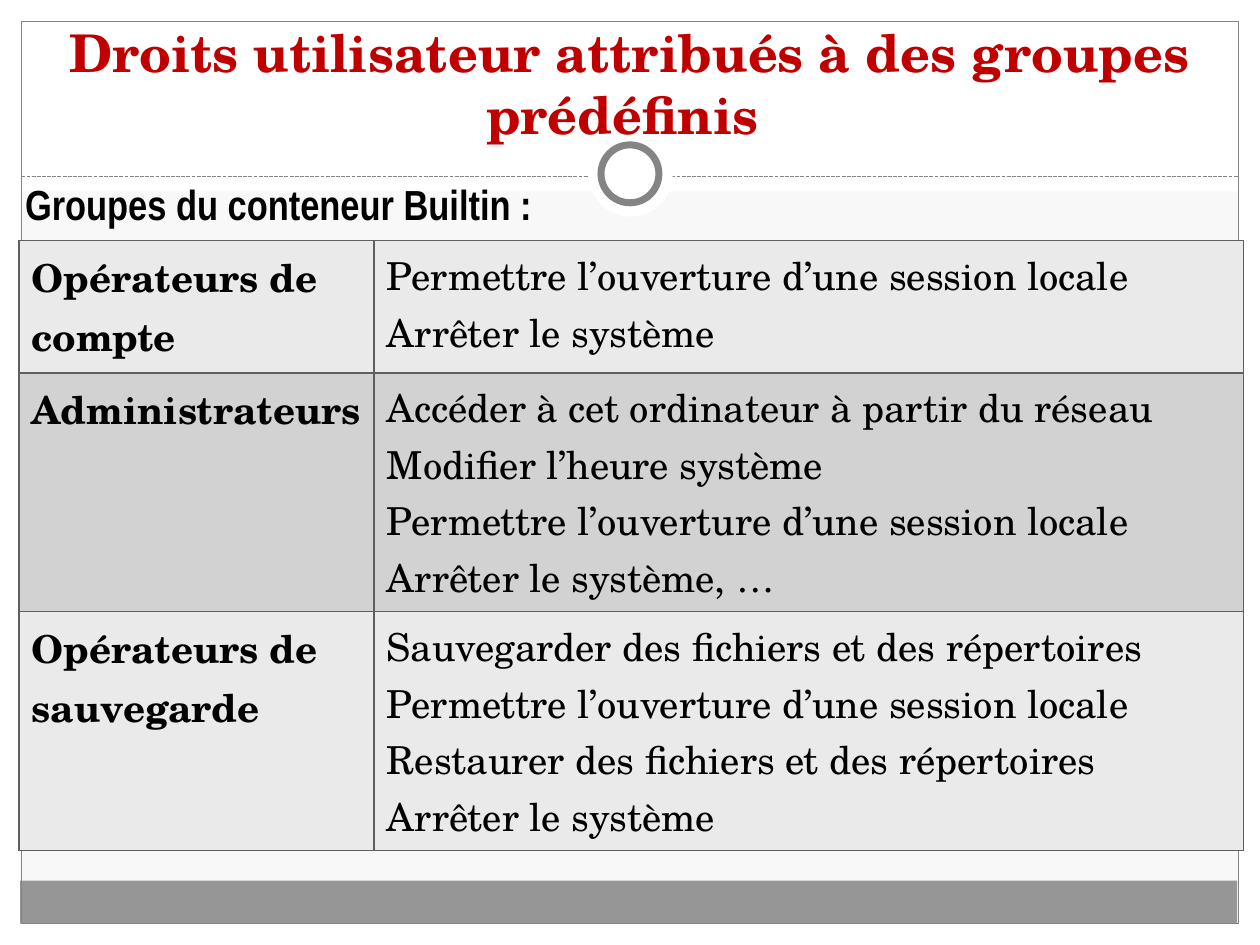
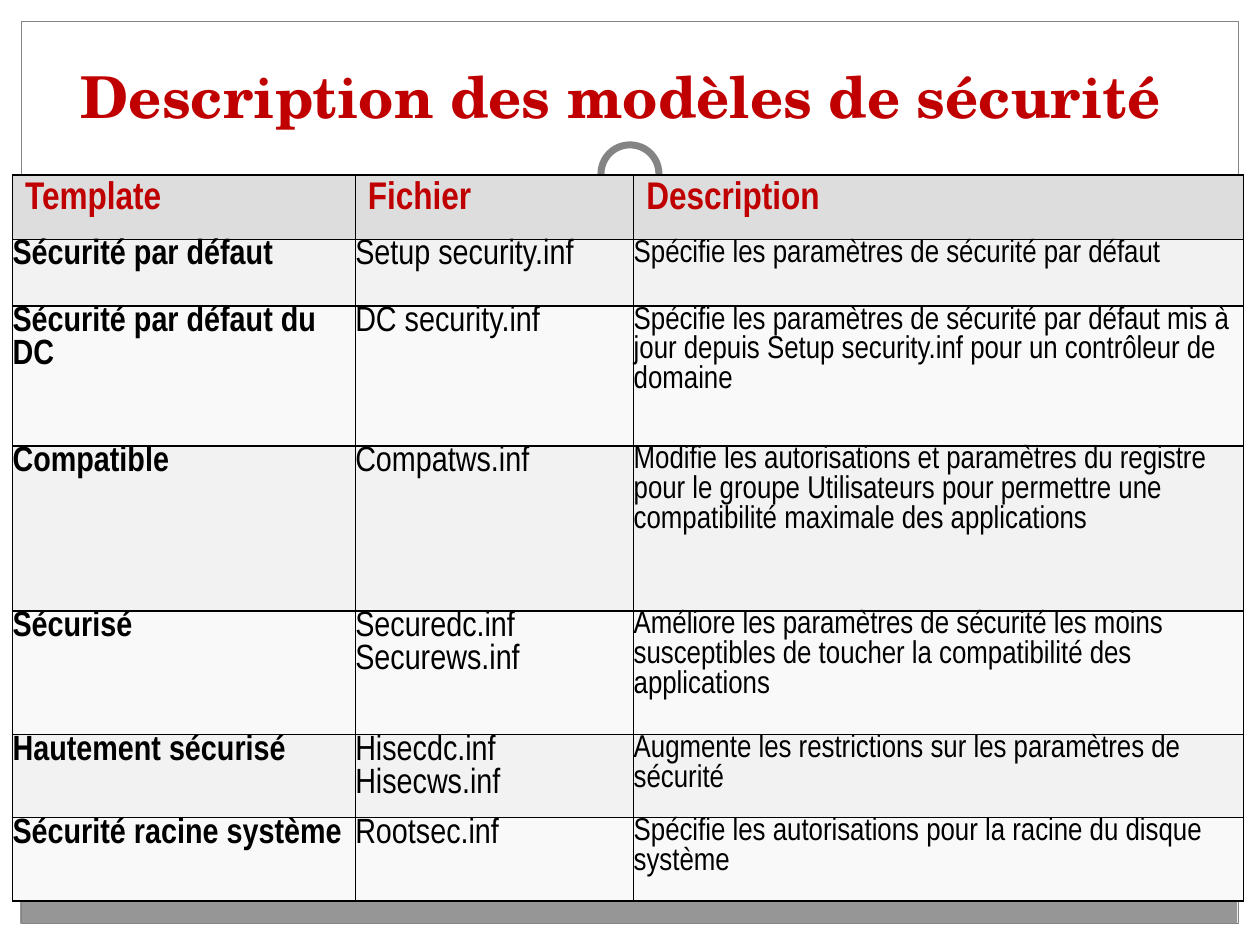
import pptx
import pptx.dml.color
import pptx.enum.dml
import pptx.enum.shapes
import pptx.enum.text
import pptx.oxml
import pptx.oxml.ns
import pptx.util

Inches, Pt = pptx.util.Inches, pptx.util.Pt
SHAPE = pptx.enum.shapes.MSO_SHAPE
ALIGN = pptx.enum.text.PP_ALIGN
ANCHOR = pptx.enum.text.MSO_ANCHOR

# Shared look
COLORS = {
    "background": "F8F8F8", "white": "FFFFFF", "footer": "969696", "frame": "848484",
    "title": "C00000", "text": "000000", "groups_border": "5F5F5F",
    "groups_odd": "EAEAEA", "groups_even": "D2D2D2",
    "header": "DDDDDD", "models_odd": "F2F2F2", "models_even": "F9F9F9",
}
SERIF, NARROW = "TeX Gyre Schola", "Arial Narrow"

# Shared frame: shape, (left, top, width, height), fill, line, line width
FRAME = [
    (SHAPE.RECTANGLE, (0, 7.33, 10, 0.17), "white", None, 0),
    (SHAPE.RECTANGLE, (0, 0, 10, 1.52), "white", None, 0),
    (SHAPE.RECTANGLE, (0, 0, 0.17, 7.5), "white", None, 0),
    (SHAPE.RECTANGLE, (9.83, 0, 0.17, 7.5), "white", None, 0),
    (SHAPE.RECTANGLE, (0.16, 6.99, 9.66, 0.34), "footer", None, 0),
    (SHAPE.RECTANGLE, (0.17, 0.17, 9.66, 7.16), None, "frame", 0.75),
    "divider",
    (SHAPE.OVAL, (4.67, 1.05, 0.67, 0.67), "white", None, 0),
    (SHAPE.OVAL, (4.77, 1.15, 0.46, 0.46), "white", "frame", 4),
]

# Slide 1 content
GROUPS_TITLE = "Droits utilisateur attribués à des groupes prédéfinis "
GROUPS_LABEL = "Groupes du conteneur Builtin :"
GROUPS = [
    ("Opérateurs de compte", [
        "Permettre l’ouverture d’une session locale",
        "Arrêter le système"]),
    ("Administrateurs", [
        "Accéder à cet ordinateur à partir du réseau",
        "Modifier l’heure système",
        "Permettre l’ouverture d’une session locale",
        "Arrêter le système, …"]),
    ("Opérateurs de sauvegarde", [
        "Sauvegarder des fichiers et des répertoires",
        "Permettre l’ouverture d’une session locale",
        "Restaurer des fichiers et des répertoires",
        "Arrêter le système"]),
]

# Slide 2 content
MODELS_TITLE = "Description des modèles de sécurité "
MODELS_HEADER = ("Template", "Fichier", "Description")
MODELS = [
    ("Sécurité par défaut", "Setup security.inf",
     "Spécifie les paramètres de sécurité par défaut"),
    ("Sécurité par défaut du DC", "DC security.inf",
     "Spécifie les paramètres de sécurité par défaut mis à jour depuis "
     "Setup security.inf pour un contrôleur de domaine"),
    ("Compatible", "Compatws.inf",
     "Modifie les autorisations et paramètres du registre pour le groupe Utilisateurs "
     "pour permettre une compatibilité maximale des applications"),
    ("Sécurisé", "Securedc.inf Securews.inf",
     "Améliore les paramètres de sécurité les moins susceptibles de toucher "
     "la compatibilité des applications"),
    ("Hautement sécurisé", "Hisecdc.inf Hisecws.inf",
     "Augmente les restrictions sur les paramètres de sécurité"),
    ("Sécurité racine système", "Rootsec.inf",
     "Spécifie les autorisations pour la racine du disque système"),
]


def rgb(name):
    return pptx.dml.color.RGBColor.from_string(COLORS[name])


def box(bounds):
    return [Inches(value) for value in bounds]


def write(text_frame, lines, font, size, color="text", bold=False):
    text_frame.text = "\n".join(lines)
    for paragraph in text_frame.paragraphs:
        for run in paragraph.runs:
            run.font.name, run.font.size, run.font.bold = font, Pt(size), bold
            run.font.color.rgb = rgb(color)


def add_divider(shapes):
    divider = shapes.add_connector(pptx.enum.shapes.MSO_CONNECTOR.STRAIGHT,
                                   *box((0.17, 1.4, 9.83, 1.4)))
    divider.line.color.rgb = rgb("frame")
    divider.line.width = Pt(0.75)
    divider.line.dash_style = pptx.enum.dml.MSO_LINE.SQUARE_DOT
    properties = divider._element.spPr
    properties.append(properties.makeelement(pptx.oxml.ns.qn("a:effectLst"), {}))
    return divider


def add_frame_part(shapes, kind, bounds, fill, line, width):
    shape = shapes.add_shape(kind, *box(bounds))
    shape.shadow.inherit = False
    if fill:
        shape.fill.solid()
        shape.fill.fore_color.rgb = rgb(fill)
    else:
        shape.fill.background()
    if line:
        shape.line.color.rgb = rgb(line)
        shape.line.width = Pt(width)
    else:
        shape.line.fill.background()
    return shape


def fill_layout(layout, slide):
    """Draw the frame once and move it to the layout that both slides use."""
    for part in FRAME:
        if part == "divider":
            shape = add_divider(slide.shapes)
        else:
            shape = add_frame_part(slide.shapes, *part)
        layout.shapes._spTree.append(shape._element)


def set_title(slide, text, bounds, size):
    title = slide.shapes.title
    title.left, title.top, title.width, title.height = box(bounds)
    frame = title.text_frame
    write(frame, [text], SERIF, size, "title", True)
    frame.word_wrap = True
    frame.auto_size = pptx.enum.text.MSO_AUTO_SIZE.NONE
    frame.vertical_anchor = ANCHOR.BOTTOM
    frame.paragraphs[0].alignment = ALIGN.CENTER


def add_table(slide, left, top, widths, heights):
    bounds = box((left, top, sum(widths), sum(heights)))
    table = slide.shapes.add_table(len(heights), len(widths), *bounds).table
    table.first_row = table.horz_banding = False
    for column, width in zip(table.columns, widths):
        column.width = Inches(width)
    for row, height in zip(table.rows, heights):
        row.height = Inches(height)
    return table


def style_cell(cell, fill, border):
    properties = cell._tc.get_or_add_tcPr()
    for side in ("lnL", "lnR", "lnT", "lnB"):
        properties.append(pptx.oxml.parse_xml(
            f'<a:{side} {pptx.oxml.ns.nsdecls("a")} w="12700"><a:solidFill>'
            f'<a:srgbClr val="{COLORS[border]}"/></a:solidFill></a:{side}>'))
    cell.fill.solid()
    cell.fill.fore_color.rgb = rgb(fill)


def build_groups(slide):
    set_title(slide, GROUPS_TITLE, (0.2, 0.19, 9.6, 1.01), 29.7)
    table = add_table(slide, 0.15, 1.91, (2.82, 6.9), (1.05, 1.89, 1.89))
    for row, (group, rights) in enumerate(GROUPS):
        name_cell, rights_cell = table.cell(row, 0), table.cell(row, 1)
        for cell in (name_cell, rights_cell):
            style_cell(cell, "groups_even" if row % 2 else "groups_odd", "groups_border")
        write(name_cell.text_frame, [group], SERIF, 22, bold=True)
        write(rights_cell.text_frame, rights, SERIF, 22)

    label = slide.shapes.add_textbox(*box((0.1, 1.37, 5.75, 0.5)))
    label.text_frame.word_wrap = True
    write(label.text_frame, [GROUPS_LABEL], NARROW, 24, bold=True)


def build_models(slide):
    set_title(slide, MODELS_TITLE, (0.33, 0.25, 9.33, 0.83), 33)
    table = add_table(slide, 0.1, 1.39, (2.72, 2.21, 4.84),
                      (0.51, 0.53, 1.11, 1.31, 0.98, 0.66, 0.66))
    for column, heading in enumerate(MODELS_HEADER):
        cell = table.cell(0, column)
        style_cell(cell, "header", "text")
        write(cell.text_frame, [heading], NARROW, 22, "title", True)
    for row, model in enumerate(MODELS, start=1):
        for column, (text, size) in enumerate(zip(model, (20, 20, 18))):
            cell = table.cell(row, column)
            style_cell(cell, "models_odd" if row % 2 else "models_even", "text")
            cell.margin_left = cell.margin_right = cell.margin_top = cell.margin_bottom = 0
            write(cell.text_frame, [text], NARROW, size, bold=column == 0)


def main():
    presentation = pptx.Presentation()
    presentation.slide_width, presentation.slide_height = Inches(10), Inches(7.5)
    background = presentation.slide_master.background.fill
    background.solid()
    background.fore_color.rgb = rgb("background")

    layout = presentation.slide_layouts[5]  # title only
    groups_slide = presentation.slides.add_slide(layout)
    models_slide = presentation.slides.add_slide(layout)
    fill_layout(layout, groups_slide)
    build_groups(groups_slide)
    build_models(models_slide)
    presentation.save("out.pptx")


if __name__ == "__main__":
    main()
